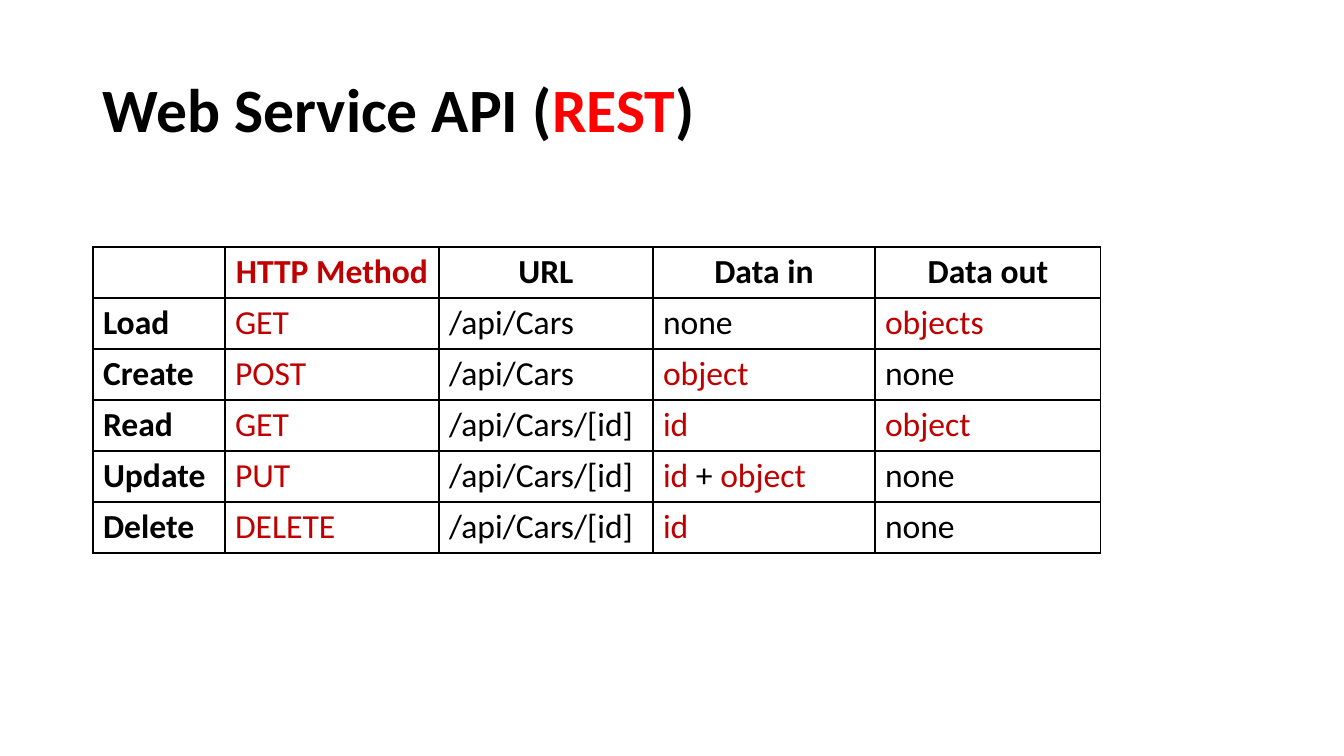
"""Build a slide listing the REST operations of a web service in a table."""
from dataclasses import dataclass

from lxml.etree import SubElement
from pptx import Presentation
from pptx.dml.color import RGBColor
from pptx.enum.text import MSO_ANCHOR as Anchor, PP_ALIGN as Align
from pptx.oxml.ns import qn
from pptx.util import Pt


@dataclass(frozen=True)
class Theme:
    font: str = "Calibri"
    ink: str = "000000"
    title_accent: str = "FF0000"
    table_accent: str = "C00000"
    title_size: int = 44
    table_size: int = 24
    border_width: int = 1


THEME = Theme()
SCALE = 914400 / 100.8


def px(length):
    return round(length * SCALE)


def write(frame, text, *, size, accent, bold=False, align=Align.LEFT, spacing=1.0):
    """Write text into a frame, with the parts between bars in the accent colour."""
    paragraph = frame.paragraphs[0]
    paragraph.alignment = align
    paragraph.line_spacing = spacing
    for index, part in enumerate(text.split("|")):
        if part:
            run = paragraph.add_run()
            run.text = part
            run.font.name = THEME.font
            run.font.size = Pt(size)
            run.font.bold = bold
            run.font.color.rgb = RGBColor.from_string(accent if index % 2 else THEME.ink)


deck = Presentation()
deck.slide_width, deck.slide_height = px(1344), px(756)
slide = deck.slides.add_slide(deck.slide_layouts[6])

title = slide.shapes.add_textbox(px(93), px(40), px(1159), px(146)).text_frame
title.word_wrap = True
title.vertical_anchor = Anchor.MIDDLE
write(title, "Web Service API (|REST|)", size=THEME.title_size,
      accent=THEME.title_accent, bold=True, spacing=0.9)

operations = [
    ["", "|HTTP Method|", "URL", "Data in", "Data out"],
    ["Load", "|GET|", "/api/Cars", "none", "|objects|"],
    ["Create", "|POST|", "/api/Cars", "|object|", "none"],
    ["Read", "|GET|", "/api/Cars/[id]", "|id|", "|object|"],
    ["Update", "|PUT|", "/api/Cars/[id]", "|id| + |object|", "none"],
    ["Delete", "|DELETE|", "/api/Cars/[id]", "|id|", "none"],
]
column_widths = [132, 214, 214, 222, 226]
row_height = 51

methods = slide.shapes.add_table(
    len(operations), len(column_widths), px(93), px(247),
    px(sum(column_widths)), px(row_height * len(operations))).table
methods.first_row = methods.horz_banding = False
for column, width in zip(methods.columns, column_widths):
    column.width = px(width)

for row_index, operation in enumerate(operations):
    methods.rows[row_index].height = px(row_height)
    for column_index, text in enumerate(operation):
        cell = methods.cell(row_index, column_index)
        is_header = row_index == 0
        write(cell.text_frame, text, size=THEME.table_size, accent=THEME.table_accent,
              bold=is_header or column_index == 0,
              align=Align.CENTER if is_header else Align.LEFT)
        properties = cell._tc.get_or_add_tcPr()
        for side in ("a:lnL", "a:lnR", "a:lnT", "a:lnB"):
            border = SubElement(properties, qn(side), w=str(Pt(THEME.border_width)))
            ink = SubElement(border, qn("a:solidFill"))
            SubElement(ink, qn("a:srgbClr"), val=THEME.ink)
        cell.fill.background()

deck.save("out.pptx")
